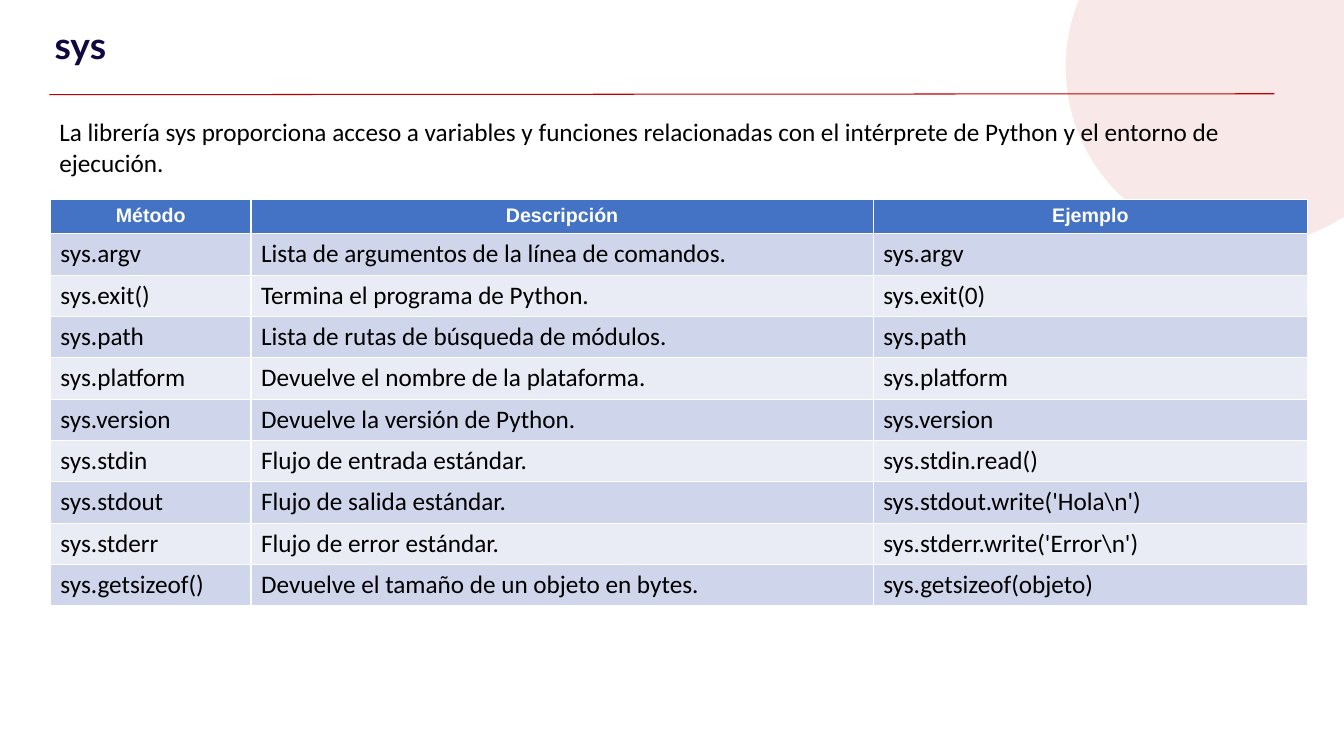
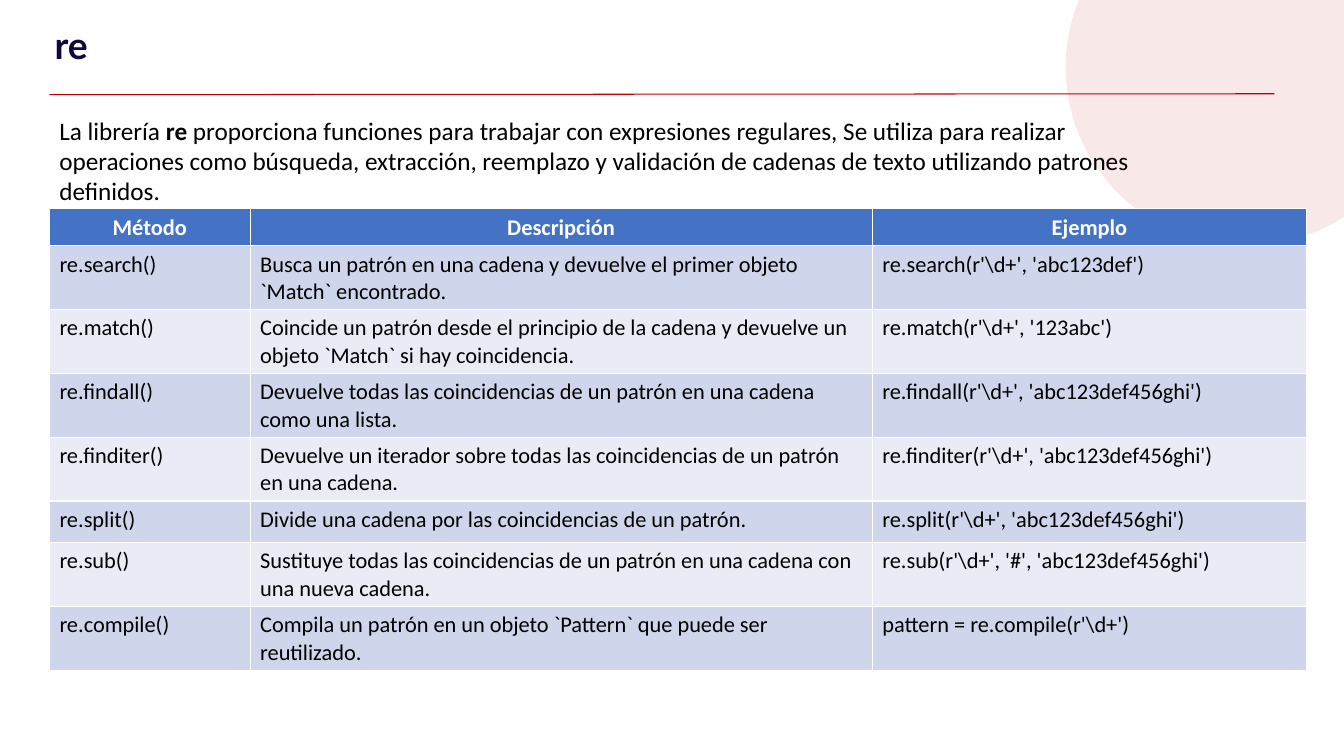
from dataclasses import dataclass

from lxml import etree
from pptx import Presentation
from pptx import util as u
from pptx.dml import color
from pptx.enum import shapes, text
from pptx.oxml import ns


@dataclass(frozen=True)
class Theme:
    accent: str = "C00000"
    title: str = "110741"
    ink: str = "000000"
    paper: str = "FFFFFF"
    header: str = "4472C4"
    bands: tuple = ("CFD5EA", "E9EBF5")
    title_font: str = "Lato"
    body_font: str = "Calibri"
    title_size: float = 26.6
    body_size: int = 18
    circle_alpha: int = 9


THEME = Theme()
deck = Presentation()
deck.slide_width, deck.slide_height = u.Inches(13.33), u.Inches(7.5)

# Shared layout, in percent of the slide's width and height
CIRCLE = (79.29, -14.8, 26.78, 47.33)
RULE = (3.68, 12.53, 94.82, 12.4)
TITLE = (3.08, 0, 86.05, 10.13)
COLUMNS = (14.93, 46.29, 32.33)
HEADER_ROW, BODY_ROW = 4.53, 5.47
HEADINGS = ("Método", "Descripción", "Ejemplo")

LIBRARIES = [
    {
        "title": "sys",
        "intro_at": (3.68, 14.8, 91.15, 72.4),
        "intro": [("La librería sys proporciona acceso a variables y funciones relacionadas "
                   "con el intérprete de Python y el entorno de ejecución.", False)],
        "table_at": (3.75, 26.4),
        "heading": {"name": "Arial", "size": 14},
        "body_size": 18,
        "methods": [
            ("sys.argv", "Lista de argumentos de la línea de comandos.", "sys.argv"),
            ("sys.exit()", "Termina el programa de Python.", "sys.exit(0)"),
            ("sys.path", "Lista de rutas de búsqueda de módulos.", "sys.path"),
            ("sys.platform", "Devuelve el nombre de la plataforma.", "sys.platform"),
            ("sys.version", "Devuelve la versión de Python.", "sys.version"),
            ("sys.stdin", "Flujo de entrada estándar.", "sys.stdin.read()"),
            ("sys.stdout", "Flujo de salida estándar.", r"sys.stdout.write('Hola\n')"),
            ("sys.stderr", "Flujo de error estándar.", r"sys.stderr.write('Error\n')"),
            ("sys.getsizeof()", "Devuelve el tamaño de un objeto en bytes.",
             "sys.getsizeof(objeto)"),
        ],
    },
    {
        "title": "re",
        "intro_at": (3.68, 14.53, 84.17, 70.8),
        "intro": [("La librería ", False), ("re", True),
                  (" proporciona funciones para trabajar con expresiones regulares, Se utiliza "
                   "para realizar operaciones como búsqueda, extracción, reemplazo y validación "
                   "de cadenas de texto utilizando patrones definidos.", False)],
        "table_at": (3.68, 27.6),
        "heading": {"name": "Calibri", "size": 16},
        "body_size": 16,
        "methods": [
            ("re.search()", "Busca un patrón en una cadena y devuelve el primer objeto "
             "`Match` encontrado.", r"re.search(r'\d+', 'abc123def')"),
            ("re.match()", "Coincide un patrón desde el principio de la cadena y devuelve un "
             "objeto `Match` si hay coincidencia.", r"re.match(r'\d+', '123abc')"),
            ("re.findall()", "Devuelve todas las coincidencias de un patrón en una cadena "
             "como una lista.", r"re.findall(r'\d+', 'abc123def456ghi')"),
            ("re.finditer()", "Devuelve un iterador sobre todas las coincidencias de un patrón "
             "en una cadena.", r"re.finditer(r'\d+', 'abc123def456ghi')"),
            ("re.split()", "Divide una cadena por las coincidencias de un patrón.",
             r"re.split(r'\d+', 'abc123def456ghi')"),
            ("re.sub()", "Sustituye todas las coincidencias de un patrón en una cadena con "
             "una nueva cadena.", r"re.sub(r'\d+', '#', 'abc123def456ghi')"),
            ("re.compile()", "Compila un patrón en un objeto `Pattern` que puede ser "
             "reutilizado.", r"pattern = re.compile(r'\d+')"),
        ],
    },
]


def share(*percents):
    """Turn alternating horizontal and vertical percents into slide lengths."""
    sides = (deck.slide_width, deck.slide_height)
    return [u.Emu(round(sides[i % 2] * p / 100)) for i, p in enumerate(percents)]


def write(paragraph, words, ink, **font_format):
    """Add one run with the given font settings."""
    run = paragraph.add_run()
    run.text = words
    run.font.color.rgb = color.RGBColor.from_string(ink)
    for key, value in font_format.items():
        setattr(run.font, key, u.Pt(value) if key == "size" else value)


for library in LIBRARIES:
    slide = deck.slides.add_slide(deck.slide_layouts[6])
    accent = color.RGBColor.from_string(THEME.accent)

    # Pale corner circle
    circle = slide.shapes.add_shape(shapes.MSO_SHAPE.OVAL, *share(*CIRCLE))
    circle.shadow.inherit = False
    circle.line.fill.background()
    circle.fill.solid()
    circle.fill.fore_color.rgb = accent
    tint = circle.fill._xPr.find(".//" + ns.qn("a:srgbClr"))
    etree.SubElement(tint, ns.qn("a:alpha"), val=str(THEME.circle_alpha * 1000))

    # Rule under the title
    rule = slide.shapes.add_connector(shapes.MSO_CONNECTOR.STRAIGHT, *share(*RULE))
    rule.line.color.rgb = accent
    rule.line.width = u.Pt(0.75)
    etree.SubElement(rule._element.spPr, ns.qn("a:effectLst"))

    # Title
    title = slide.shapes.add_textbox(*share(*TITLE)).text_frame
    title_format = {
        "word_wrap": True,
        "margin_left": u.Inches(0.13), "margin_right": u.Inches(0.13),
        "margin_top": u.Inches(0.38), "margin_bottom": u.Inches(0.38),
    }
    for key, value in title_format.items():
        setattr(title, key, value)
    write(title.paragraphs[0], library["title"], THEME.title,
          name=THEME.title_font, size=THEME.title_size, bold=True)

    # Introduction
    intro = slide.shapes.add_textbox(*share(*library["intro_at"])).text_frame
    intro.word_wrap = True
    for words, bold in library["intro"]:
        write(intro.paragraphs[0], words, THEME.ink,
              name=THEME.body_font, size=THEME.body_size, bold=bold)

    # Method table
    rows = [HEADINGS] + library["methods"]
    heights = [HEADER_ROW] + [BODY_ROW] * len(library["methods"])
    methods = slide.shapes.add_table(
        len(rows), len(COLUMNS),
        *share(*library["table_at"], sum(COLUMNS), sum(heights))).table
    for column, width in zip(methods.columns, COLUMNS):
        column.width = share(width)[0]
    for r, (entries, height) in enumerate(zip(rows, heights)):
        methods.rows[r].height = share(0, height)[1]
        for c, words in enumerate(entries):
            cell = methods.cell(r, c)
            cell.fill.solid()
            fill = THEME.bands[(r - 1) % 2] if r else THEME.header
            cell.fill.fore_color.rgb = color.RGBColor.from_string(fill)
            paragraph = cell.text_frame.paragraphs[0]
            if r:
                write(paragraph, words, THEME.ink,
                      name=THEME.body_font, size=library["body_size"], bold=False)
            else:
                paragraph.alignment = text.PP_ALIGN.CENTER
                write(paragraph, words, THEME.paper, bold=True, **library["heading"])

deck.save("out.pptx")
